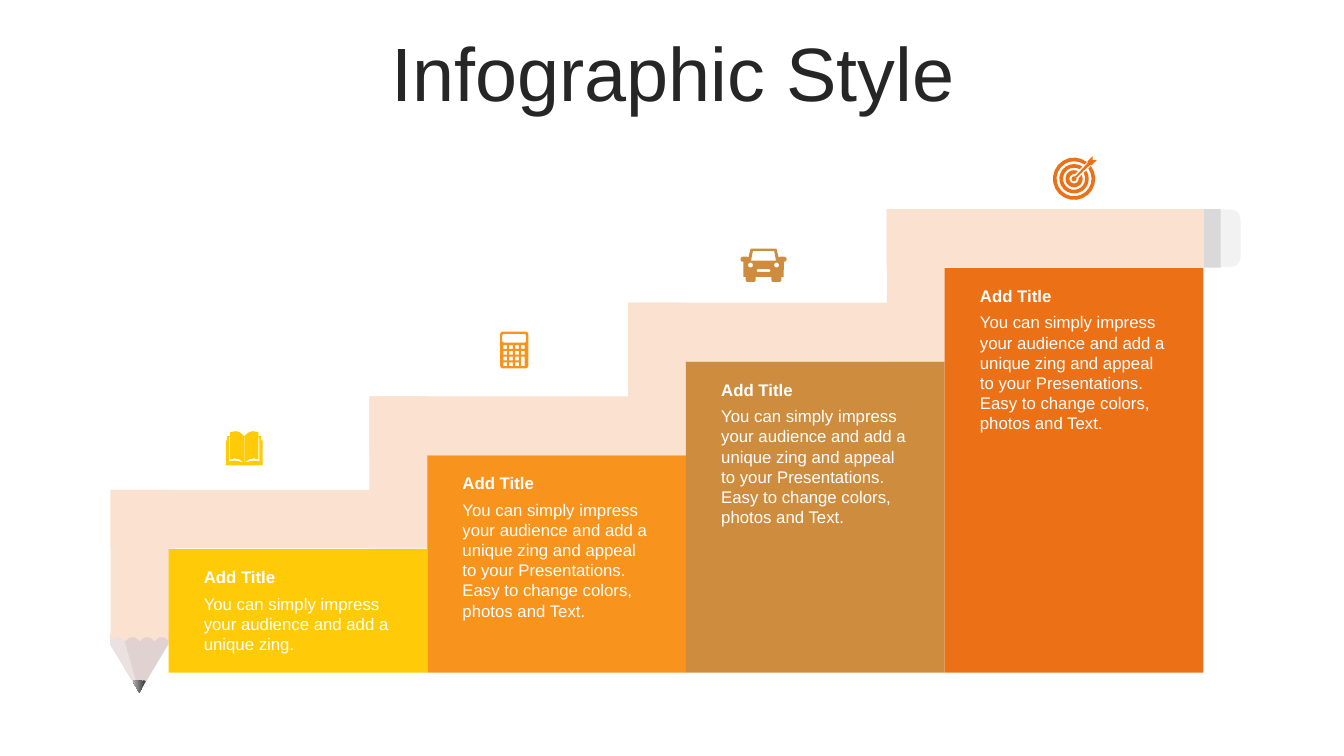
from dataclasses import dataclass
from math import asin, cos, pi, sin

from pptx import Presentation
from pptx.dml.color import RGBColor
from pptx.enum.shapes import MSO_SHAPE
from pptx.enum.text import MSO_ANCHOR, PP_ALIGN
from pptx.util import Pt

RECT = MSO_SHAPE.RECTANGLE
CAP = MSO_SHAPE.ROUND_2_SAME_RECTANGLE
MIDDLE, TOP = MSO_ANCHOR.MIDDLE, MSO_ANCHOR.TOP
CENTER, LEFT = PP_ALIGN.CENTER, PP_ALIGN.LEFT


@dataclass(frozen=True)
class Theme:
    font: str = "Arial"
    head: int = 54
    text: int = 12
    ink: str = "262626"
    white: str = "FFFFFF"
    steps: tuple = ("FFCA08", "F8931D", "CE8D3E", "EC7016")
    band: str = "FBE2D0"
    wood: str = "E1D2D2"
    shine: str = "EBE1E1"
    lead: tuple = ((0.15, "474747"), (1, "B0B0B0"))
    metal: str = "D9D9D9"
    rubber: str = "F2F2F2"


THEME = Theme()
SHORT = "You can simply impress your audience and add a unique zing"
LONG = (SHORT + " and appeal to your Presentations. "
        "Easy to change colors, photos and Text.")
BODIES = (SHORT + ".", LONG, LONG, LONG)
RUN, RISE, BAND = 184.8, 66.9, 41.8


def paint(shape, color):
    shape.shadow.inherit = False
    shape.fill.solid()
    shape.fill.fore_color.rgb = RGBColor.from_string(color)
    shape.line.fill.background()
    return shape


def block(slide, box, color, kind=RECT):
    return paint(slide.shapes.add_shape(kind, *map(Pt, box)), color)


def label(slide, box, text, size=THEME.text, color=THEME.white, bold=False,
          align=LEFT, anchor=TOP, gap=1.0):
    frame = slide.shapes.add_textbox(*map(Pt, box)).text_frame
    para = frame.paragraphs[0]
    para.text = text
    font = para.runs[0].font
    font.color.rgb = RGBColor.from_string(color)
    looks = (
        (frame, {"word_wrap": True, "vertical_anchor": anchor}),
        (para, {"alignment": align, "line_spacing": gap}),
        (font, {"name": THEME.font, "size": Pt(size), "bold": bold}),
    )
    for item, values in looks:
        for name, value in values.items():
            setattr(item, name, value)


def trace(marks):
    """Turn points and six-number cubic curves into a list of points."""
    out = []
    for mark in marks:
        if len(mark) == 2:
            out.append(mark)
            continue
        ends = (out[-1], mark[:2], mark[2:4], mark[4:])
        for k in range(1, 4):
            t = k / 3
            parts = ((1 - t) ** 3, 3 * t * (1 - t) ** 2, 3 * t * t * (1 - t), t ** 3)
            out.append(tuple(sum(w * p[n] for w, p in zip(parts, ends))
                             for n in (0, 1)))
    return out


def mirror(points, axis):
    return [(2 * axis - x, y) for x, y in reversed(points)]


def arc(x, y, r, start=0.0, stop=2 * pi, count=10):
    turns = [start + (stop - start) * k / count for k in range(count + 1)]
    return [(x + r * cos(a), y + r * sin(a)) for a in turns]


def square(x, y, w, h):
    return [(x, y), (x + w, y), (x + w, y + h), (x, y + h)]


def pill(x, y, w, h, r):
    corners = ((x + w - r, y + h - r), (x + r, y + h - r),
               (x + r, y + r), (x + w - r, y + r))
    return [p for k, (cx, cy) in enumerate(corners)
            for p in arc(cx, cy, r, k * pi / 2, (k + 1) * pi / 2, 2)]


def draw(slide, left, top, loops, color):
    """Draw closed loops as one shape; inner loops become holes."""
    pen = None
    for loop in loops:
        dots = [(Pt(left + x), Pt(top + y)) for x, y in loop]
        if pen is None:
            pen = slide.shapes.build_freeform(*dots[0])
        else:
            pen.move_to(*dots[0])
        pen.add_line_segments(dots[1:], close=True)
    return paint(pen.convert_to_shape(), color)


def book(slide, left, top, color):
    mid = 13.05
    half = trace([(mid, 3.6), (11, 1.5, 9.4, 0, 6.8, 0), (2.9, 0.7),
                  (2.9, 3.6), (0.9, 3.6), (0.9, 6.5), (0, 6.5), (0, 24.5)])
    page = trace([(2.9, 4.3), (2.2, 4.3), (2.2, 21.6), (6.5, 20.2, 8.6, 21.6, 12.8, 22.3),
                  (9.4, 19.4, 5.8, 18.7, 2.9, 20.2)])
    spine = square(mid - 0.2, 4, 0.4, 18)
    draw(slide, left, top, [half + mirror(half, mid), page, mirror(page, mid), spine], color)


def counter(slide, left, top, color):
    loops = [pill(0, 0, 20.2, 26.4, 2), pill(1.5, 1.6, 17.1, 6.4, 1.4)]
    for col in range(4):
        for row in range(4):
            if (col, row) != (3, 3):
                tall = 6.9 if (col, row) == (3, 2) else 2.7
                loops.append(square(2.3 + 4.2 * col, 9.7 + 4.1 * row, 2.7, tall))
    draw(slide, left, top, loops, color)


def car(slide, left, top, color):
    mid = 16.4
    half = trace([(mid, 0), (7.2, 0), (5.6, 6.3), (4.3, 5.8),
                  (1.9, 5.8), (0.7, 5.8, 0, 6.5, 0, 7.2), (0, 8),
                  (0, 8.8, 0.7, 9.4, 1.9, 9.4), (2, 20.2), (3.6, 20.2), (3.6, 22.3),
                  (3.6, 23.2, 4.3, 23.8, 5, 23.8), (9.4, 23.8),
                  (10.2, 23.8, 10.8, 23.2, 10.8, 22.3), (10.8, 20.2)])
    glass = [(8.8, 1.6), (24, 1.6), (25.3, 8.6), (7.5, 8.6)]
    lamp = arc(7.1, 11.8, 1.8)
    grille = pill(11.4, 14.7, 10, 2, 1)
    draw(slide, left, top, [half + mirror(half, mid), glass, lamp, mirror(lamp, mid), grille],
         color)


def target(slide, left, top, color):
    """Draw rings, each open to the upper right, around the given centre."""
    loops = [arc(0, 0, 1.8)]
    for outer, inner in ((15.1, 12.5), (10.5, 7.9), (6.1, 3.3)):
        out, back = (asin(2 / r) for r in (outer, inner))
        loops.append(arc(0, 0, outer, out - pi / 4, 7 * pi / 4 - out, 20)
                     + arc(0, 0, inner, 7 * pi / 4 - back, back - pi / 4, 20))
    loops.append([(13.3, -16.2), (13.3, -13.3), (16.2, -13.3), (12.6, -9.7), (11.2, -9.7),
                  (1.6, -0.8), (0.8, -1.6), (9.7, -11.2), (9.7, -12.6)])
    draw(slide, left, top, loops, color)


ICONS = ((book, 41, -84.2), (counter, 52, -88.5), (car, 39, -80.8), (target, 92.4, -63.8))


def step(slide, left, top, base, color, body, icon):
    block(slide, (left, top, RUN, base - top), color)
    label(slide, (left + 18.1, top + 9.2, 148.3, 21.6), "Add Title", bold=True)
    label(slide, (left + 18.1, top + 28, 148.3, 94 if body == LONG else 51), body)
    make, dx, dy = icon
    make(slide, left + dx, top + dy, color)


def tip(slide, left, top):
    """Draw the sharpened end, below the first band."""
    mid = BAND / 2
    draw(slide, left, top, [[(0, 0), (BAND, 0), (BAND, 7), (mid, 41.8), (0, 7)]], THEME.wood)
    draw(slide, left, top, [[(0, 0), (10.4, 0), (10.4, 5), (mid, 41.8), (0, 7)]], THEME.shine)
    edge = [(16.3, 33.6)]
    for k in range(4):
        x = 16.3 + 2.3 * k
        edge.append((x + 0.6, 32.6, x + 1.7, 32.6, x + 2.3, 33.6))
    lead = draw(slide, left, top, [trace(edge) + [(mid, 41.8)]], THEME.lead[0][1])
    lead.fill.gradient()
    lead.fill.gradient_angle = 180
    for stop, (place, color) in zip(lead.fill.gradient_stops, THEME.lead):
        stop.position = place
        stop.color.rgb = RGBColor.from_string(color)


def pencil(slide, left, top):
    """Draw the folded pencil from the corner of its lowest band."""
    tip(slide, left - 0.4, top + 103)
    wide, foot = BAND / 4, 108
    edge = [(0, 0), (0, foot)]
    for k in range(4):
        x = wide * k
        edge.append((x + 2, foot - 4, x + wide - 2, foot - 4, x + wide, foot))
    draw(slide, left, top, [trace(edge + [(BAND, 0)])], THEME.band)
    end = left + 4 * RUN + BAND
    high = top - 3 * RISE
    block(slide, (end, high, 12.2, BAND), THEME.metal)
    cap = block(slide, (end - 1.6, high + 13.7, BAND - 0.6, 14.4), THEME.rubber, CAP)
    cap.rotation = 90
    cap.adjustments[0] = 0.5
    for k in range(4):
        x, y = left + RUN * k, top - RISE * k
        block(slide, (x, y, RUN + BAND, BAND), THEME.band)
        if k:
            block(slide, (x, y, BAND, RISE + BAND), THEME.band)


def main():
    deck = Presentation()
    deck.slide_width, deck.slide_height = Pt(960), Pt(540)
    slide = deck.slides.add_slide(deck.slide_layouts[6])
    label(slide, (25.2, 26.6, 911.5, 56.9), "Infographic Style", THEME.head, THEME.ink,
          align=CENTER, anchor=MIDDLE, gap=0.9)
    pencil(slide, 79, 350)
    for k, (color, body, icon) in enumerate(zip(THEME.steps, BODIES, ICONS)):
        step(slide, 120.4 + RUN * k, 392.2 - RISE * k, 480.4, color, body, icon)
    deck.save("out.pptx")


if __name__ == "__main__":
    main()
